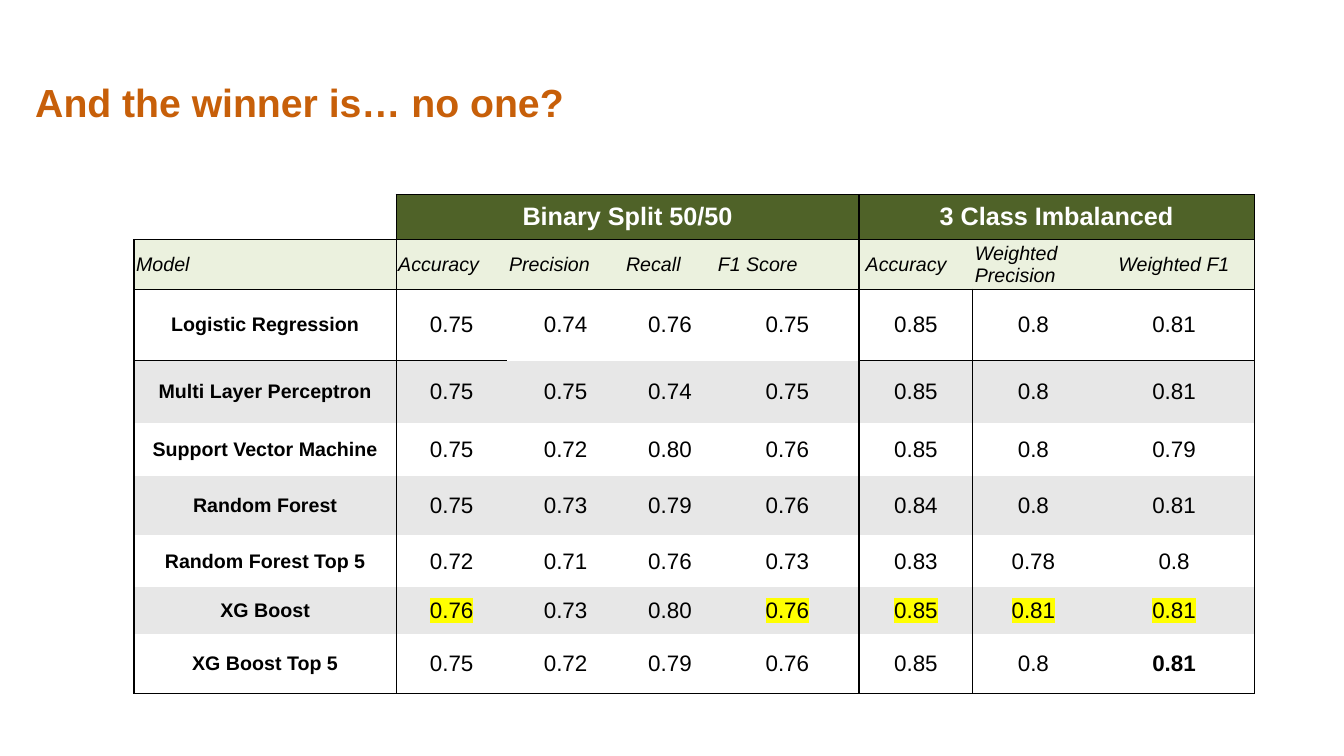
import lxml.etree
import pptx
import pptx.dml.color
import pptx.enum.text
import pptx.oxml.ns
import pptx.util

Inches = pptx.util.Inches
Pt = pptx.util.Pt
RGBColor = pptx.dml.color.RGBColor
ALIGN = pptx.enum.text.PP_ALIGN
MIDDLE = pptx.enum.text.MSO_ANCHOR.MIDDLE
qn = pptx.oxml.ns.qn

ORANGE = RGBColor(0xC7, 0x5F, 0x09)
DARK_GREEN = RGBColor(0x4F, 0x62, 0x28)
PALE_GREEN = RGBColor(0xEB, 0xF1, 0xDE)
GREY = RGBColor(0xE7, 0xE7, 0xE7)
WHITE = RGBColor(0xFF, 0xFF, 0xFF)
BLACK = RGBColor(0x00, 0x00, 0x00)
YELLOW = RGBColor(0xFF, 0xFF, 0x00)

COLUMN_WIDTHS = [2.6, 1.1, 1.16, 0.91, 1.42, 1.13, 1.2, 1.59]
ROW_HEIGHTS = [0.45, 0.49, 0.71, 0.62, 0.52, 0.59, 0.52, 0.46, 0.59]
GROUPS = [(1, 4, "Binary Split 50/50"), (5, 7, "3 Class Imbalanced")]
METRICS = ["Model", "Accuracy", "Precision", "Recall", "F1 Score",
           " Accuracy", "Weighted Precision", "Weighted F1"]
SCORES = [
    ["Logistic Regression", "0.75", "0.74", "0.76", "0.75", "0.85", "0.8", "0.81"],
    ["Multi Layer Perceptron", "0.75", "0.75", "0.74", "0.75", "0.85", "0.8", "0.81"],
    ["Support Vector Machine", "0.75", "0.72", "0.80", "0.76", "0.85", "0.8", "0.79"],
    ["Random Forest", "0.75", "0.73", "0.79", "0.76", "0.84", "0.8", "0.81"],
    ["Random Forest Top 5", "0.72", "0.71", "0.76", "0.73", "0.83", "0.78", "0.8"],
    ["XG Boost", "0.76", "0.73", "0.80", "0.76", "0.85", "0.81", "0.81"],
    ["XG Boost Top 5", "0.75", "0.72", "0.79", "0.76", "0.85", "0.8", "0.81"],
]
HIGHLIGHTED = {(7, column) for column in (1, 4, 5, 6, 7)}
BOLD_SCORE = (8, 7)

# Ruled edges: grid line -> the columns (or rows) along which it is drawn
HORIZONTAL_RULES = {0: range(1, 8), 1: range(8), 2: range(8),
                    3: (0, 1, 5, 6, 7), 9: range(8)}
VERTICAL_RULES = {0: range(1, 9), 1: range(9), 5: range(9),
                  6: range(2, 9), 8: range(9)}

TITLE_FONT = {"size": Pt(28), "bold": True}
GROUP_FONT = {"size": Pt(18), "bold": True}
METRIC_FONT = {"size": Pt(14), "italic": True}
MODEL_FONT = {"size": Pt(14), "bold": True}
SCORE_FONT = {"size": Pt(16), "bold": False}
CELL_FORMAT = {"margin_left": Inches(0.02), "margin_right": Inches(0.02),
               "margin_top": Inches(0.01), "margin_bottom": Inches(0.01),
               "vertical_anchor": MIDDLE}
FRAME_FORMAT = {"margin_left": 0, "margin_right": 0, "margin_top": 0,
                "margin_bottom": 0, "vertical_anchor": MIDDLE, "word_wrap": True}


def apply_format(target, values):
    for name, value in values.items():
        setattr(target, name, value)


def write_text(frame, text, font, color, align=ALIGN.CENTER):
    para = frame.paragraphs[0]
    para.alignment = align
    span = para.add_run()
    span.text = text
    apply_format(span.font, {"name": "Arial", **font})
    span.font.color.rgb = color
    return span


def highlight(span, color):
    mark = lxml.etree.Element(qn("a:highlight"))
    lxml.etree.SubElement(mark, qn("a:srgbClr"), val=str(color))
    span.font.fill._xPr.find(qn("a:solidFill")).addnext(mark)


def set_borders(cell, row, column):
    right = column + (cell.span_width if cell.is_merge_origin else 1)
    ruled = {
        "a:lnL": row in VERTICAL_RULES.get(column, ()),
        "a:lnR": row in VERTICAL_RULES.get(right, ()),
        "a:lnT": column in HORIZONTAL_RULES.get(row, ()),
        "a:lnB": column in HORIZONTAL_RULES.get(row + 1, ()),
    }
    properties = cell._tc.get_or_add_tcPr()
    for index, (tag, visible) in enumerate(ruled.items()):
        line = lxml.etree.Element(qn(tag), w=str(Pt(1)))
        if visible:
            fill = lxml.etree.SubElement(line, qn("a:solidFill"))
            lxml.etree.SubElement(fill, qn("a:srgbClr"), val=str(BLACK))
        else:
            lxml.etree.SubElement(line, qn("a:noFill"))
        properties.insert(index, line)


def style_cell(cell, row, column):
    apply_format(cell, CELL_FORMAT)
    if (row, column) == (0, 0):
        cell.fill.background()
    else:
        cell.fill.solid()
        if row < 2:
            cell.fill.fore_color.rgb = (DARK_GREEN, PALE_GREEN)[row]
        else:
            cell.fill.fore_color.rgb = GREY if row % 2 else WHITE
    set_borders(cell, row, column)


def add_title(page, text):
    box = page.shapes.add_textbox(Inches(0.35), Inches(0.63), Inches(10.16), Inches(0.82))
    apply_format(box.text_frame, FRAME_FORMAT)
    write_text(box.text_frame, text, TITLE_FONT, ORANGE, ALIGN.LEFT)
    box.text_frame.paragraphs[0].line_spacing = 0.9


def add_score_table(page):
    table = page.shapes.add_table(
        len(ROW_HEIGHTS), len(COLUMN_WIDTHS), Inches(1.33), Inches(1.93),
        Inches(sum(COLUMN_WIDTHS)), Inches(sum(ROW_HEIGHTS))).table
    apply_format(table, {"first_row": False, "horz_banding": False})
    for column, width in zip(table.columns, COLUMN_WIDTHS):
        column.width = Inches(width)
    for row, height in zip(table.rows, ROW_HEIGHTS):
        row.height = Inches(height)

    # Group headings
    for first, last, heading in GROUPS:
        table.cell(0, first).merge(table.cell(0, last))
        write_text(table.cell(0, first).text_frame, heading, GROUP_FONT, WHITE)

    # Metric headings
    for column, metric in enumerate(METRICS):
        align = ALIGN.CENTER if metric == "Weighted F1" else ALIGN.LEFT
        write_text(table.cell(1, column).text_frame, metric, METRIC_FONT, BLACK, align)

    # Models and their scores
    for row, values in enumerate(SCORES, start=2):
        for column, value in enumerate(values):
            font = SCORE_FONT if column else MODEL_FONT
            span = write_text(table.cell(row, column).text_frame, value, font, BLACK)
            if (row, column) in HIGHLIGHTED:
                highlight(span, YELLOW)
            if (row, column) == BOLD_SCORE:
                span.font.bold = True

    # Fills and ruled edges
    for row in range(len(ROW_HEIGHTS)):
        for column in range(len(COLUMN_WIDTHS)):
            style_cell(table.cell(row, column), row, column)


def main():
    deck = pptx.Presentation()
    apply_format(deck, {"slide_width": Inches(13.33), "slide_height": Inches(7.5)})
    page = deck.slides.add_slide(deck.slide_layouts[6])
    add_title(page, "And the winner is… no one?")
    add_score_table(page)
    deck.save("out.pptx")


if __name__ == "__main__":
    main()
